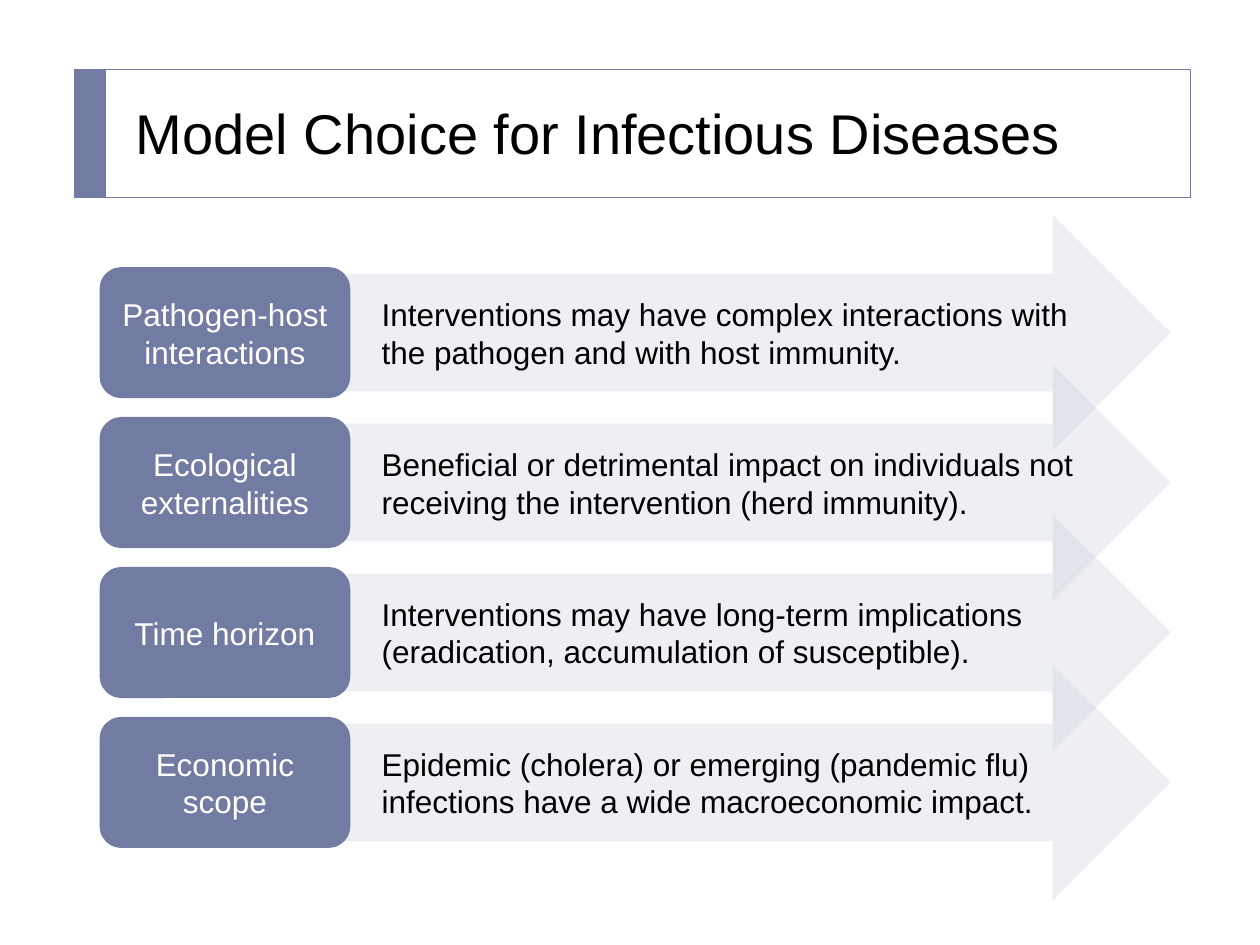
from lxml.etree import SubElement
from pptx import Presentation
from pptx.dml.color import RGBColor
from pptx.enum.shapes import MSO_SHAPE as Shape
from pptx.enum.text import MSO_ANCHOR as Anchor, PP_ALIGN as Align
from pptx.oxml.ns import qn
from pptx.util import Inches, Pt

COLORS = {"accent": "727CA3", "arrow": "C7CBDA", "text": "000000", "label": "FFFFFF"}
FONT = "Arial"
ARROW_OPACITY = 30
FIRST_CENTER, ROW_PITCH = 2.64, 1.19
ARROW_LEFT, ARROW_WIDTH, ARROW_HEIGHT = 2.54, 6.75, 1.87
LABEL_LEFT, LABEL_WIDTH, LABEL_HEIGHT = 0.79, 1.99, 1.04
FRAME_LEFT, FRAME_TOP, FRAME_WIDTH, FRAME_HEIGHT = 0.59, 0.55, 8.86, 1.02
BAR_WIDTH = 0.25

ROWS = [
    ("Pathogen-host interactions",
     "Interventions may have complex interactions with the pathogen and with host immunity."),
    ("Ecological externalities",
     "Beneficial or detrimental impact on individuals not receiving the intervention (herd immunity)."),
    ("Time horizon",
     "Interventions may have long-term implications (eradication, accumulation of susceptible)."),
    ("Economic scope",
     "Epidemic (cholera) or emerging (pandemic flu) infections have a wide macroeconomic impact."),
]


def color(name):
    return RGBColor.from_string(COLORS[name])


def add_shape(slide, kind, left, top, width, height, fill=None, line=None):
    shape = slide.shapes.add_shape(kind, *map(Inches, (left, top, width, height)))
    shape.shadow.inherit = False
    if fill:
        shape.fill.solid()
        shape.fill.fore_color.rgb = color(fill)
    else:
        shape.fill.background()
    if line:
        shape.line.color.rgb = color(line)
        shape.line.width = Pt(0.5)
    else:
        shape.line.fill.background()
    return shape


def set_text(shape, text, size, color_name, align=Align.LEFT):
    frame = shape.text_frame
    frame.text = text
    frame.word_wrap = True
    frame.vertical_anchor = Anchor.MIDDLE
    paragraph = frame.paragraphs[0]
    paragraph.alignment = align
    font = paragraph.runs[0].font
    font.name, font.size = FONT, Pt(size)
    font.color.rgb = color(color_name)
    return paragraph


def add_title(slide, text):
    add_shape(slide, Shape.RECTANGLE, FRAME_LEFT, FRAME_TOP, FRAME_WIDTH, FRAME_HEIGHT, line="accent")
    add_shape(slide, Shape.RECTANGLE, FRAME_LEFT, FRAME_TOP, BAR_WIDTH, FRAME_HEIGHT, fill="accent")
    title = slide.shapes.add_textbox(*map(Inches, (0.98, 0.7, 8.31, 0.7)))
    set_text(title, text, 32, "text")


def add_arrow(slide, center, text):
    arrow = add_shape(slide, Shape.RIGHT_ARROW, ARROW_LEFT, center - ARROW_HEIGHT / 2,
                      ARROW_WIDTH, ARROW_HEIGHT, fill="arrow")
    fill_color = arrow.fill._xPr.find(qn("a:solidFill"))[0]
    SubElement(fill_color, qn("a:alpha"), val=str(ARROW_OPACITY * 1000))
    paragraph = set_text(arrow, text, 18, "text")
    properties = paragraph._p.get_or_add_pPr()
    properties.set("marL", str(Inches(0.39)))
    properties.set("indent", "0")


def add_label(slide, center, text):
    label = add_shape(slide, Shape.ROUNDED_RECTANGLE, LABEL_LEFT, center - LABEL_HEIGHT / 2,
                      LABEL_WIDTH, LABEL_HEIGHT, fill="accent")
    set_text(label, text, 18, "label", Align.CENTER)


def main():
    presentation = Presentation()
    presentation.slide_width, presentation.slide_height = Inches(10), Inches(7.5)
    slide = presentation.slides.add_slide(presentation.slide_layouts[6])
    add_title(slide, "Model Choice for Infectious Diseases")
    centers = [FIRST_CENTER + row * ROW_PITCH for row in range(len(ROWS))]
    for center, (_, statement) in zip(centers, ROWS):
        add_arrow(slide, center, statement)
    for center, (topic, _) in zip(centers, ROWS):
        add_label(slide, center, topic)
    presentation.save("out.pptx")


if __name__ == "__main__":
    main()
